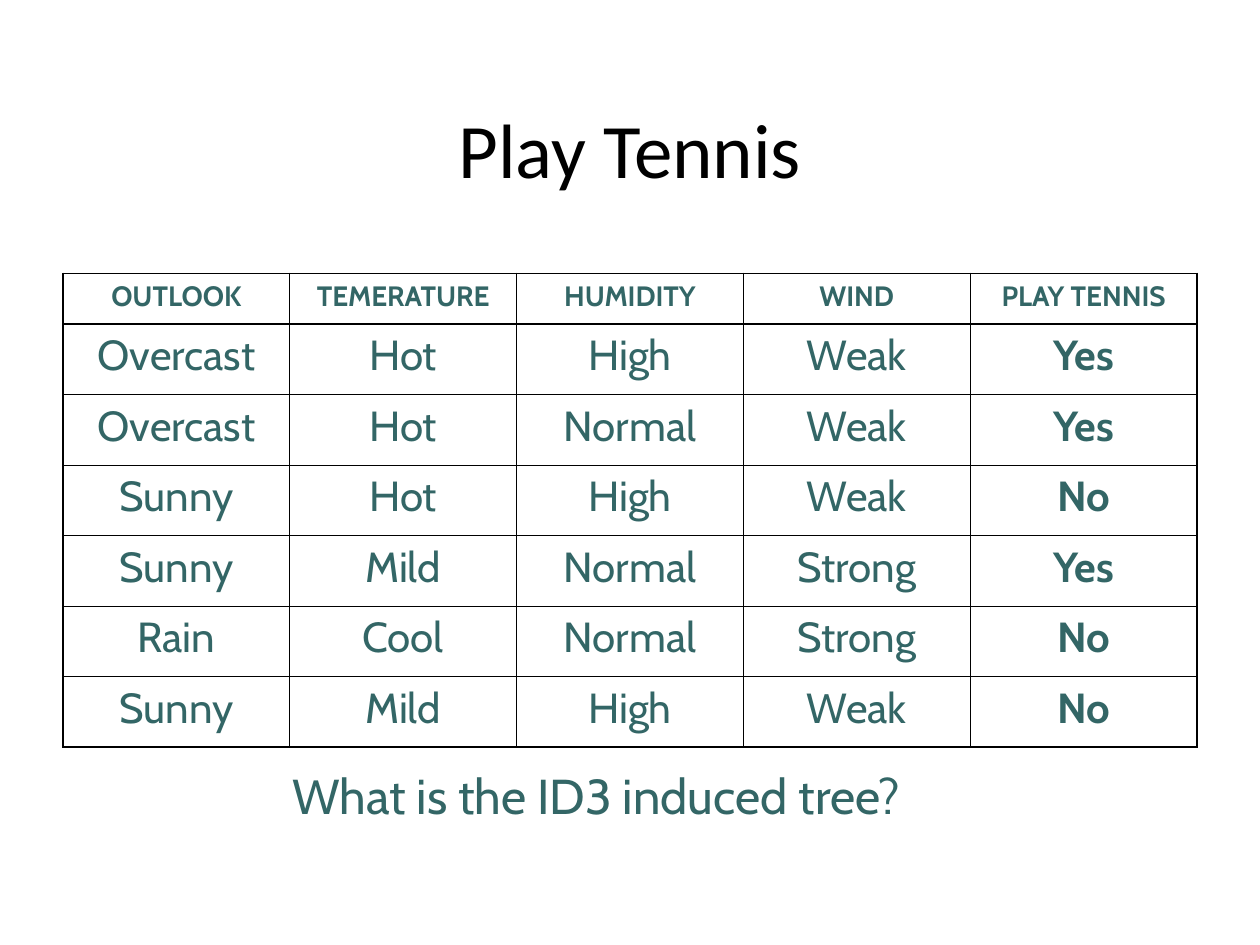
from lxml.etree import SubElement as Sub
from pptx import Presentation
from pptx.dml.color import RGBColor
from pptx.enum.text import MSO_ANCHOR as Anchor, PP_ALIGN as Align
from pptx.oxml.ns import qn
from pptx.util import Inches, Pt

BLACK = RGBColor(0x00, 0x00, 0x00)
TEAL = RGBColor(0x33, 0x66, 0x66)
THICK, THIN = 1.08, 0.45


def write(frame, text, size=24, font="Cabin", color=TEAL, bold=False,
          align=Align.CENTER, before=0):
    para = frame.paragraphs[0]
    para.alignment = align
    para.space_before = Pt(before)
    run = para.add_run()
    run.text = text
    run.font.size = Pt(size)
    run.font.name = font
    run.font.bold = bold
    run.font.color.rgb = color


def border(cell, sides):
    props = cell._tc.get_or_add_tcPr()
    for side, width in sides.items():
        line = Sub(props, qn("a:ln" + side), w=str(Pt(width)))
        fill = Sub(line, qn("a:solidFill"))
        Sub(fill, qn("a:srgbClr"), val=str(BLACK))


deck = Presentation()
deck.slide_width = Inches(10)
deck.slide_height = Inches(7.5)
slide = deck.slides.add_slide(deck.slide_layouts[6])

title = slide.shapes.add_textbox(Inches(0.5), Inches(0.42), Inches(9), Inches(1.5))
title.text_frame.word_wrap = True
title.text_frame.vertical_anchor = Anchor.MIDDLE
write(title.text_frame, "Play Tennis", size=44, font="Calibri", color=BLACK)

rows = [
    ["OUTLOOK", "TEMERATURE", "HUMIDITY", "WIND", "PLAY TENNIS"],
    ["Overcast", "Hot", "High", "Weak", "Yes"],
    ["Overcast", "Hot", "Normal", "Weak", "Yes"],
    ["Sunny", "Hot", "High", "Weak", "No"],
    ["Sunny", "Mild", "Normal", "Strong", "Yes"],
    ["Rain", "Cool", "Normal", "Strong", "No"],
    ["Sunny", "Mild", "High", "Weak", "No"],
]
end, last = len(rows) - 1, len(rows[0]) - 1
grid = slide.shapes.add_table(len(rows), len(rows[0]), Inches(0.5), Inches(2.17),
                              Inches(9), Inches(3.76)).table
grid.first_row = grid.horz_banding = False

for col in grid.columns:
    col.width = Inches(1.8)
for r, row in enumerate(rows):
    head = r == 0
    grid.rows[r].height = Inches(0.4 if head else 0.56)
    for c, text in enumerate(row):
        cell = grid.cell(r, c)
        border(cell, {
            "L": THICK if c == 0 else THIN,
            "R": THICK if c == last else THIN,
            "T": THICK if r in (0, 1) else THIN,
            "B": THICK if r in (0, end) else THIN,
        })
        cell.fill.background()
        write(cell.text_frame, text, size=16 if head else 24,
              bold=head or c == last, before=4 if head else 6)

ask = slide.shapes.add_textbox(Inches(2.22), Inches(6.03), Inches(5.55), Inches(0.57))
ask.text_frame.word_wrap = True
write(ask.text_frame, "What is the ID3 induced tree?", size=28, align=Align.LEFT)

deck.save("out.pptx")
